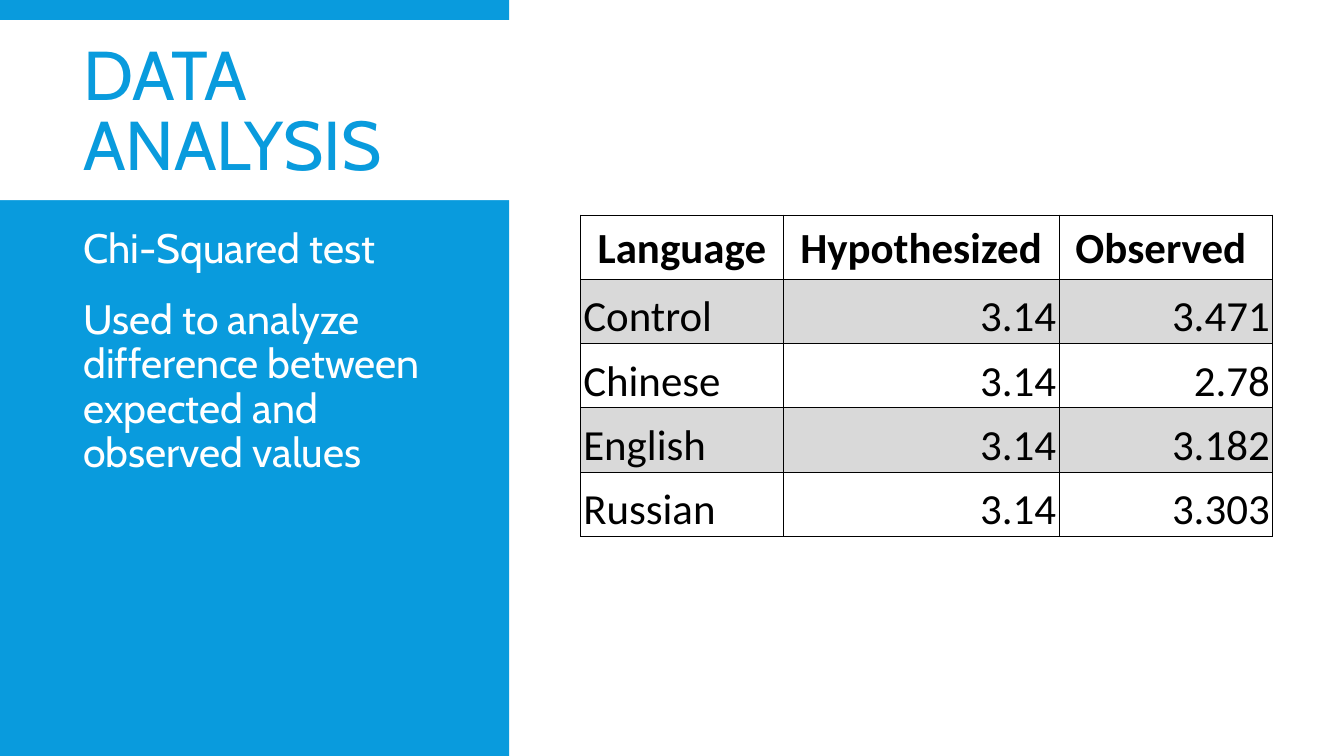
from dataclasses import dataclass

from lxml import etree
from pptx import Presentation
from pptx.dml.color import RGBColor
from pptx.enum.shapes import MSO_SHAPE
from pptx.enum.text import MSO_ANCHOR, MSO_AUTO_SIZE, PP_ALIGN
from pptx.oxml.ns import qn
from pptx.util import Inches, Pt

RECTANGLE = MSO_SHAPE.RECTANGLE
LEFT, CENTER, RIGHT = PP_ALIGN.LEFT, PP_ALIGN.CENTER, PP_ALIGN.RIGHT
TOP, MIDDLE, BOTTOM = MSO_ANCHOR.TOP, MSO_ANCHOR.MIDDLE, MSO_ANCHOR.BOTTOM
NO_AUTOFIT = MSO_AUTO_SIZE.NONE


@dataclass(frozen=True)
class Theme:
    accent: str = "099BDD"
    white: str = "FFFFFF"
    black: str = "000000"
    band: str = "D9D9D9"
    text_font: str = "Cabin"
    table_font: str = "Calibri"
    title_size: int = 37
    body_size: int = 22
    table_size: int = 23
    border_width: float = 0.5


THEME = Theme()

WIDTH = 10
HEIGHT = WIDTH * 9 / 16
SIDEBAR_WIDTH = 3.79
COLUMN_WIDTHS = [1.51, 2.05, 1.59]
TABLE_HEIGHT = 2.39

BODY = [
    "Chi-Squared test",
    "Used to analyze difference between expected and observed values",
]
RESULTS = [
    ["Language", "Hypothesized", "Observed "],
    ["Control", "3.14", "3.471"],
    ["Chinese", "3.14", "2.78"],
    ["English", "3.14", "3.182"],
    ["Russian", "3.14", "3.303"],
]


def add_run(paragraph, text, font, size, color, bold=False):
    run = paragraph.add_run()
    run.text = text
    run.font.name = font
    run.font.size = Pt(size)
    run.font.bold = bold
    run.font.color.rgb = RGBColor.from_string(color)


def add_panel(slide, left, top, width, height, color):
    panel = slide.shapes.add_shape(
        RECTANGLE, Inches(left), Inches(top), Inches(width), Inches(height))
    panel.shadow.inherit = False
    panel.fill.solid()
    panel.fill.fore_color.rgb = RGBColor.from_string(color)
    panel.line.fill.background()
    return panel


def add_panels_behind_text(slide):
    panels = [
        add_panel(slide, 0, 0, SIDEBAR_WIDTH, HEIGHT, THEME.accent),
        add_panel(slide, 0, 0.15, 3.84, 1.34, THEME.white),
        add_panel(slide, SIDEBAR_WIDTH, 0, WIDTH - SIDEBAR_WIDTH, HEIGHT, THEME.white),
    ]
    first_placeholder = slide.shapes.title.element
    for panel in panels:
        first_placeholder.addprevious(panel.element)


def place_text(placeholder, left, top, width, height, anchor):
    placeholder.left, placeholder.top = Inches(left), Inches(top)
    placeholder.width, placeholder.height = Inches(width), Inches(height)
    frame = placeholder.text_frame
    frame.word_wrap = True
    frame.auto_size = NO_AUTOFIT
    frame.vertical_anchor = anchor
    return frame


def fill_title(title):
    frame = place_text(title, 0.52, 0.23, 3.01, 1.24, MIDDLE)
    heading = frame.paragraphs[0]
    heading.alignment = LEFT
    heading.line_spacing = 0.85
    add_run(heading, "DATA ANALYSIS", THEME.text_font, THEME.title_size, THEME.accent)


def remove_bullet(paragraph):
    properties = paragraph._p.get_or_add_pPr()
    properties.set("marL", "0")
    properties.set("indent", "0")
    etree.SubElement(properties, qn("a:buNone"))


def fill_body(body):
    frame = place_text(body, 0.52, 1.65, 3.02, 3.45, TOP)
    for index, text in enumerate(BODY):
        paragraph = frame.add_paragraph() if index else frame.paragraphs[0]
        paragraph.line_spacing = 0.9
        paragraph.space_before = Pt(12)
        paragraph.space_after = Pt(2)
        remove_bullet(paragraph)
        add_run(paragraph, text, THEME.text_font, THEME.body_size, THEME.white)


def add_borders(cell):
    properties = cell._tc.get_or_add_tcPr()
    for side in ("a:lnL", "a:lnR", "a:lnT", "a:lnB"):
        line = etree.SubElement(properties, qn(side), w=str(Pt(THEME.border_width)))
        fill = etree.SubElement(line, qn("a:solidFill"))
        etree.SubElement(fill, qn("a:srgbClr"), val=THEME.black)


def fill_cell(cell, text, row, column):
    """Bold centred header, shaded odd rows, numbers to the right."""
    is_header = row == 0
    cell.margin_left = cell.margin_right = cell.margin_top = Inches(0.02)
    cell.margin_bottom = 0
    cell.vertical_anchor = MIDDLE if is_header else BOTTOM
    add_borders(cell)
    if row % 2:
        cell.fill.solid()
        cell.fill.fore_color.rgb = RGBColor.from_string(THEME.band)
    else:
        cell.fill.background()
    paragraph = cell.text_frame.paragraphs[0]
    paragraph.alignment = CENTER if is_header else RIGHT if column else LEFT
    add_run(paragraph, text, THEME.table_font, THEME.table_size, THEME.black, is_header)


def add_results_table(slide):
    table = slide.shapes.add_table(
        len(RESULTS), len(COLUMN_WIDTHS), Inches(4.32), Inches(1.6),
        Inches(sum(COLUMN_WIDTHS)), Inches(TABLE_HEIGHT)).table
    table.first_row = table.horz_banding = False
    for column, width in zip(table.columns, COLUMN_WIDTHS):
        column.width = Inches(width)
    for row, texts in enumerate(RESULTS):
        for column, text in enumerate(texts):
            fill_cell(table.cell(row, column), text, row, column)


def main():
    presentation = Presentation()
    presentation.slide_width = Inches(WIDTH)
    presentation.slide_height = Inches(HEIGHT)
    slide = presentation.slides.add_slide(presentation.slide_layouts[1])
    add_panels_behind_text(slide)
    fill_title(slide.shapes.title)
    fill_body(slide.placeholders[1])
    add_results_table(slide)
    presentation.save("out.pptx")


if __name__ == "__main__":
    main()
